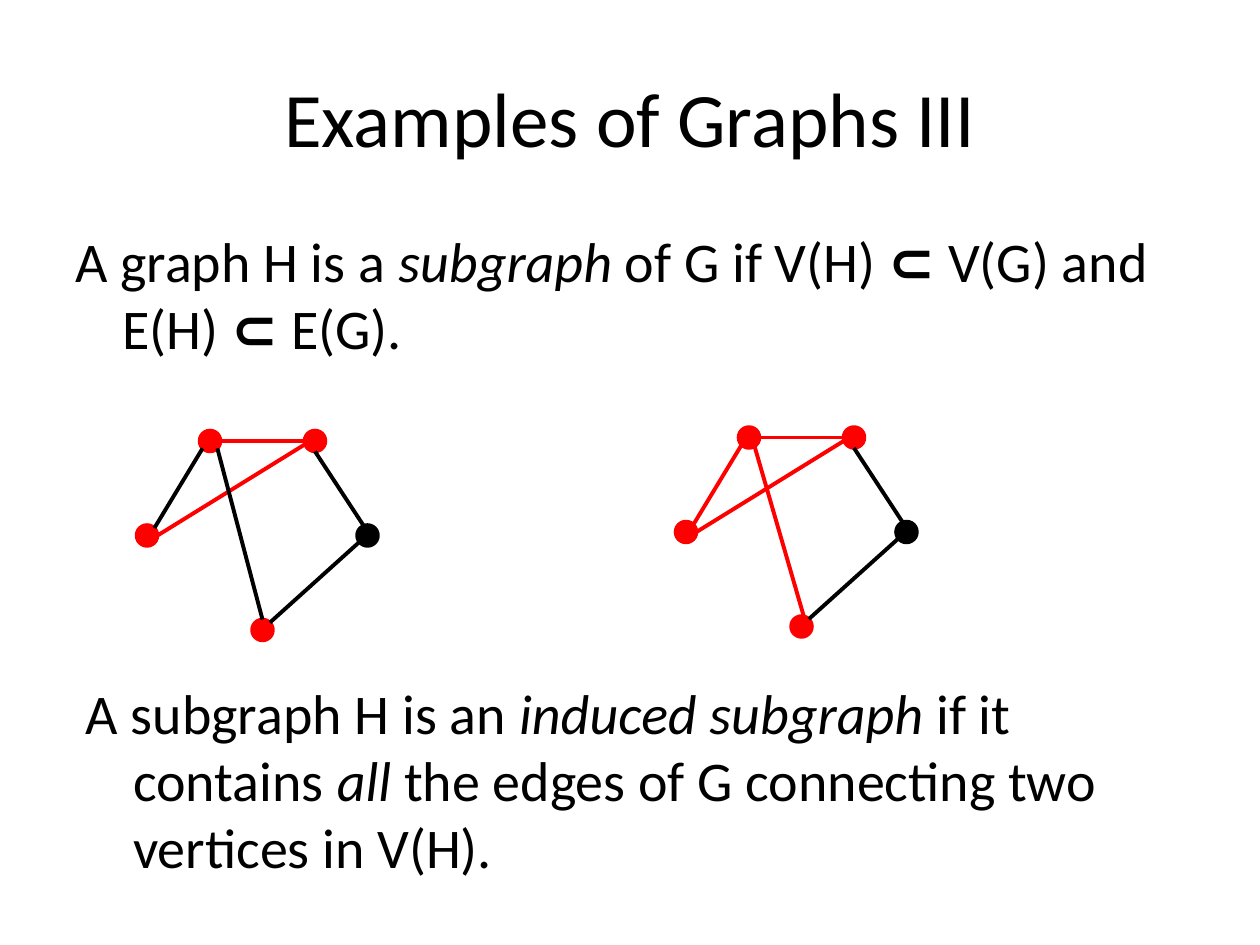
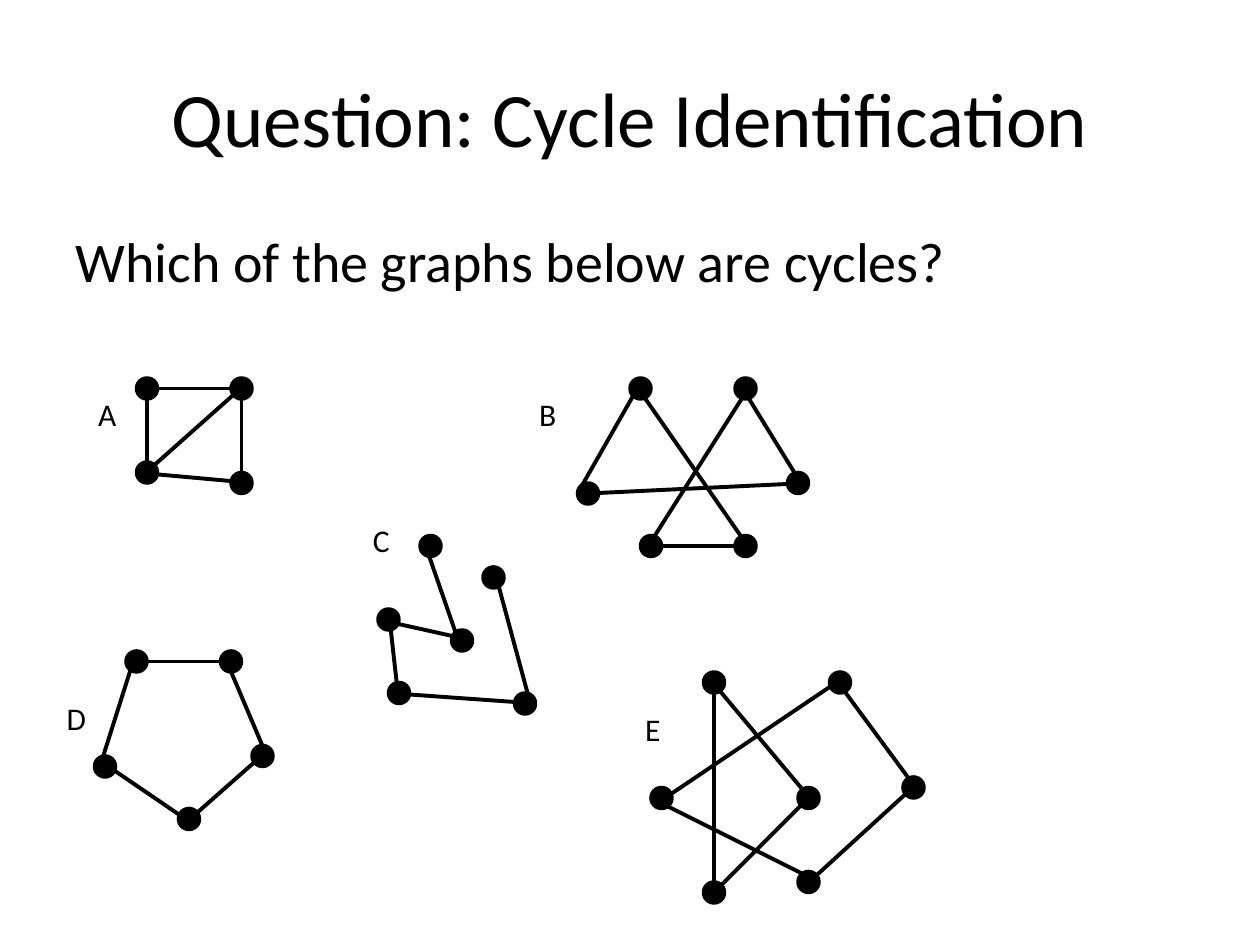
import pptx
import pptx.dml.color
import pptx.enum.shapes
import pptx.enum.text
import pptx.util
from lxml import etree
from pptx.util import Pt

BLACK = pptx.dml.color.RGBColor(0x00, 0x00, 0x00)
RED = pptx.dml.color.RGBColor(0xFF, 0x00, 0x00)
DOT_SIZE = 12
DIAGONAL = 4.24
DRAWINGML = "http://schemas.openxmlformats.org/drawingml/2006/main"

TITLE_FORMAT = {"name": "Calibri", "size": Pt(44)}
BODY_FORMAT = {"name": "Calibri", "size": Pt(32)}
LABEL_FORMAT = {"name": "Calibri", "size": Pt(18)}

# Points on a dot where an edge may end, measured from its centre
ANCHORS = {
    "C": (0, 0),
    "N": (0, -6), "S": (0, 6), "W": (-6, 0), "E": (6, 0),
    "NW": (-DIAGONAL, -DIAGONAL), "NE": (DIAGONAL, -DIAGONAL),
    "SW": (-DIAGONAL, DIAGONAL), "SE": (DIAGONAL, DIAGONAL),
}


def write(box, spans, text_format, hanging=0):
    """Fill the first paragraph with (text, style) spans; style is bold, italic or None."""
    para = box.text_frame.paragraphs[0]
    if hanging:
        properties = para._p.get_or_add_pPr()
        properties.set("marL", str(Pt(hanging)))
        properties.set("indent", str(-Pt(hanging)))
    for text, style in spans:
        span = para.add_run()
        span.text = text
        for name, value in text_format.items():
            setattr(span.font, name, value)
        span.font.color.rgb = BLACK
        if style:
            setattr(span.font, style, True)
    return para


def draw_graph(page, dots, edges, red_dots="", red_edges=()):
    """Draw dots by centre, then edges written as 'dot.anchor dot.anchor'."""
    for name, (x, y) in dots.items():
        colour = RED if name in red_dots else BLACK
        dot = page.shapes.add_shape(
            pptx.enum.shapes.MSO_SHAPE.OVAL,
            Pt(x - DOT_SIZE / 2), Pt(y - DOT_SIZE / 2), Pt(DOT_SIZE), Pt(DOT_SIZE))
        dot.shadow.inherit = False
        dot.fill.solid()
        dot.fill.fore_color.rgb = colour
        dot.line.color.rgb = colour
        dot.line.width = Pt(2)
    for edge in edges:
        ends = [end.split(".") for end in edge.split()]
        points = []
        for name, anchor in ends:
            points += [Pt(centre + shift) for centre, shift in zip(dots[name], ANCHORS[anchor])]
        line = page.shapes.add_connector(pptx.enum.shapes.MSO_CONNECTOR.STRAIGHT, *points)
        line.line.color.rgb = RED if ends[0][0] + ends[1][0] in red_edges else BLACK
        line.line.width = Pt(2.25)
        etree.SubElement(line._element.spPr, f"{{{DRAWINGML}}}effectLst")


deck = pptx.Presentation()
deck.slide_width, deck.slide_height = Pt(720), Pt(540)

SUBGRAPH_TEXT = [
    ("A graph H is a ", None), ("subgraph", "italic"), (" of G if V(H) ", None),
    ("⊂", "bold"), (" V(G) and E(H) ", None), ("⊂", "bold"), (" E(G).", None),
]
INDUCED_TEXT = [
    ("A subgraph H is an ", None), ("induced subgraph", "italic"), (" if it contains ", None),
    ("all", "italic"), (" the edges of G connecting two vertices in V(H).", None),
]
QUESTION_TEXT = [("Which of the graphs below are cycles?", None)]

# Title, then body texts with left, top and height
slides = [
    ("Examples of Graphs III", [(SUBGRAPH_TEXT, 36, 126, 90), (INDUCED_TEXT, 42, 384, 126)]),
    ("Question: Cycle Identification", [(QUESTION_TEXT, 36, 126, 48)]),
]
pages = []
for title_text, bodies in slides:
    page = deck.slides.add_slide(deck.slide_layouts[5])
    pages.append(page)
    title = page.shapes.title
    title.left, title.top, title.width, title.height = Pt(36), Pt(21.6), Pt(648), Pt(90)
    title.text_frame.vertical_anchor = pptx.enum.text.MSO_ANCHOR.MIDDLE
    para = write(title, [(title_text, None)], TITLE_FORMAT)
    para.alignment = pptx.enum.text.PP_ALIGN.CENTER
    for spans, left, top, height in bodies:
        body = page.shapes.add_textbox(Pt(left), Pt(top), Pt(648), Pt(height))
        body.text_frame.word_wrap = True
        write(body, spans, BODY_FORMAT, hanging=27)

subgraph_page, cycle_page = pages

# The same graph twice: a plain subgraph and an induced one
host_dots = {"a": (120, 252), "b": (180, 252), "c": (84, 306), "d": (210, 306), "e": (150, 360)}
host_edges = ["a.SW c.NE", "a.W b.C", "b.S d.SE", "b.NE c.E", "e.NE d.NE"]
for shift_x, shift_y, long_edge, red_edges in [
    (0, 0, "a.SE e.N", ["ab", "bc"]),
    (308, -2, "a.N e.SE", ["ab", "bc", "ac", "ae"]),
]:
    dots = {name: (x + shift_x, y + shift_y) for name, (x, y) in host_dots.items()}
    draw_graph(subgraph_page, dots, host_edges + [long_edge], "abce", red_edges)

# Label, its left and top, dots, edges
candidates = [
    ("A", 49, 222,
     {"a": (84, 222), "b": (138, 222), "c": (84, 270), "d": (138, 276)},
     ["a.N c.N", "a.W b.E", "b.N d.N", "c.W d.E", "b.NE c.NE"]),
    ("B", 301, 222,
     {"a": (366, 222), "b": (426, 222), "c": (372, 312),
      "d": (456, 276), "e": (336, 282), "f": (426, 312)},
     ["e.W a.SW", "a.NW f.SE", "f.E c.E", "c.SW b.NE", "b.NW d.SE", "d.E e.C"]),
    ("C", 206, 294,
     {"a": (228, 396), "b": (300, 402), "c": (264, 366),
      "d": (246, 312), "e": (222, 354), "f": (282, 330)},
     ["d.NW c.S", "c.E e.W", "e.N a.S", "a.W b.E", "f.N b.SE"]),
    ("D", 31, 396,
     {"a": (78, 378), "b": (132, 378), "c": (60, 438), "d": (150, 432), "e": (108, 468)},
     ["c.SW a.N", "a.W b.E", "b.NW d.SE", "e.SW d.NE", "c.NW e.SE"]),
    ("E", 361.5, 402,
     {"a": (480, 390), "b": (522, 450), "c": (378, 456), "d": (462, 504),
      "e": (408, 510), "f": (408, 390), "g": (462, 456)},
     ["c.SW a.NE", "a.NW b.SE", "b.NE d.SW", "c.W d.E", "g.NE e.SW", "f.NW g.SE", "f.N e.S"]),
]
for letter, left, top, dots, edges in candidates:
    draw_graph(cycle_page, dots, edges)
    label = cycle_page.shapes.add_textbox(Pt(left), Pt(top), Pt(24), Pt(29))
    label.text_frame.word_wrap = False
    write(label, [(letter, None)], LABEL_FORMAT)

deck.save("out.pptx")
